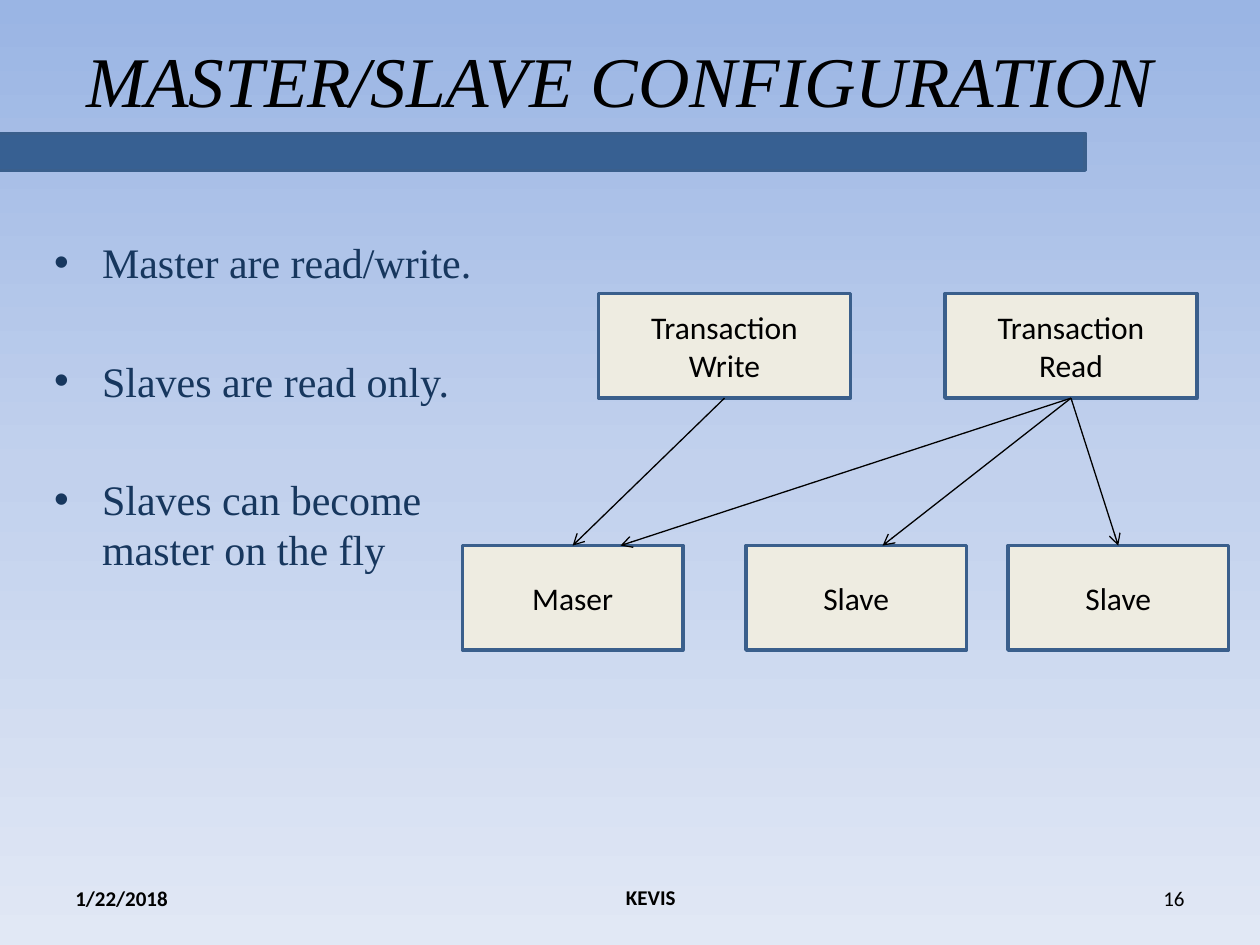
from dataclasses import dataclass

from pptx import Presentation
from pptx.dml.color import RGBColor
from pptx.enum.shapes import MSO_CONNECTOR, MSO_SHAPE
from pptx.enum.text import MSO_ANCHOR, MSO_AUTO_SIZE, PP_ALIGN
from pptx.oxml.ns import qn
from pptx.oxml.xmlchemy import OxmlElement
from pptx.util import Inches, Pt

LEFT, CENTER, RIGHT = PP_ALIGN.LEFT, PP_ALIGN.CENTER, PP_ALIGN.RIGHT
TOP, MIDDLE = MSO_ANCHOR.TOP, MSO_ANCHOR.MIDDLE
RECTANGLE, MINUS = MSO_SHAPE.RECTANGLE, MSO_SHAPE.MATH_MINUS
STRAIGHT = MSO_CONNECTOR.STRAIGHT
TOP_SITE, BOTTOM_SITE = 0, 2


@dataclass(frozen=True)
class Theme:
    """Colours, fonts and type sizes of the slide."""
    background: tuple = ("9AB5E4", "C2D1ED", "E1E8F5")
    ink: str = "000000"
    bullet_ink: str = "17375E"
    bar: str = "376092"
    outline: str = "3A5F8C"
    node: str = "EEECE1"
    heading_font: str = "Times New Roman"
    label_font: str = "Calibri"
    title_size: float = 40.7
    bullet_size: float = 24
    node_size: float = 18
    footer_size: float = 12


@dataclass(frozen=True)
class Node:
    """A labelled box of the replication diagram."""
    label: str
    left: float
    top: float
    width: float


@dataclass(frozen=True)
class Footer:
    """One text at the foot of the slide."""
    text: str
    left: float
    top: float
    width: float
    align: PP_ALIGN
    bold: bool


@dataclass(frozen=True)
class Flow:
    """An arrow that ends at the target's top centre, moved right by shift."""
    source: str
    target: str
    shift: float = 0


THEME = Theme()
NODE_HEIGHT, FOOTER_HEIGHT = 0.83, 0.4
CLIENT_TOP, CLIENT_WIDTH = 2.33, 2
SERVER_TOP, SERVER_WIDTH = 4.33, 1.75

NODES = {
    "read": Node("Transaction\nRead", 7.5, CLIENT_TOP, CLIENT_WIDTH),
    "write": Node("Transaction\nWrite", 4.75, CLIENT_TOP, CLIENT_WIDTH),
    "master": Node("Maser", 3.67, SERVER_TOP, SERVER_WIDTH),
    "first slave": Node("Slave", 5.92, SERVER_TOP, SERVER_WIDTH),
    "second slave": Node("Slave", 8, SERVER_TOP, SERVER_WIDTH),
}
FLOWS = (
    Flow("write", "master"),
    Flow("read", "first slave", 0.21),
    Flow("read", "second slave"),
    Flow("read", "master", 0.38),
)
FOOTERS = (
    Footer("1/22/2018", 0.5, 6.93, 2.33, LEFT, True),
    Footer("16", 7.17, 6.93, 2.33, RIGHT, False),
    Footer("KEVIS", 3.58, 6.92, 3.17, CENTER, True),
)
BULLETS = (
    "Master are read/write.",
    "Slaves are read only.",
    "Slaves can become master on the fly",
)


def rgb(value: str) -> RGBColor:
    """Turn a hex string into a colour."""
    return RGBColor.from_string(value)


def write_text(shape, text: str, *, size: float, font: str = THEME.label_font,
               color: str = THEME.ink, align: PP_ALIGN = CENTER,
               anchor: MSO_ANCHOR = MIDDLE, bold: bool = False,
               italic: bool = False) -> None:
    """Fill a shape with text, one paragraph a line, in one format."""
    frame = shape.text_frame
    frame.text = text
    frame.word_wrap = True
    frame.auto_size = MSO_AUTO_SIZE.NONE
    frame.vertical_anchor = anchor
    for paragraph in frame.paragraphs:
        paragraph.alignment = align
        for run in paragraph.runs:
            run.font.size = Pt(size)
            run.font.name = font
            run.font.bold = bold
            run.font.italic = italic
            run.font.color.rgb = rgb(color)


def place(shape, left: float, top: float, width: float, height: float) -> None:
    """Move and size a placeholder."""
    shape.left, shape.top = Inches(left), Inches(top)
    shape.width, shape.height = Inches(width), Inches(height)


def paint_background(slide) -> None:
    """Fill the background with an even gradient from top to bottom."""
    fill = slide.background.fill
    fill.gradient()
    fill.gradient_angle = 270
    stop_list = next(slide.element.iter(qn("a:gsLst")))
    extra_stop = OxmlElement("a:gs")
    extra_stop.set("pos", "0")
    extra_stop.append(OxmlElement("a:srgbClr"))
    extra_stop[0].set("val", THEME.ink)
    stop_list.append(extra_stop)
    for index, (stop, color) in enumerate(zip(fill.gradient_stops, THEME.background)):
        stop.position = index / (len(THEME.background) - 1)
        stop.color.rgb = rgb(color)


def add_block(slide, preset, left: float, top: float, width: float,
              height: float, fill: str):
    """Add a filled, outlined shape without a shadow."""
    block = slide.shapes.add_shape(
        preset, Inches(left), Inches(top), Inches(width), Inches(height))
    block.shadow.inherit = False
    block.fill.solid()
    block.fill.fore_color.rgb = rgb(fill)
    block.line.color.rgb = rgb(THEME.outline)
    block.line.width = Pt(2)
    return block


def add_bullets(body) -> None:
    """Write the bullet list with hanging indents."""
    write_text(body, "\n".join(BULLETS), size=THEME.bullet_size, align=LEFT,
               font=THEME.heading_font, color=THEME.bullet_ink, anchor=TOP)
    for paragraph in body.text_frame.paragraphs:
        paragraph.space_before = Pt(4.8)
        paragraph.space_after = Pt(34)
        properties = paragraph._p.get_or_add_pPr()
        properties.set("marL", str(Inches(0.38)))
        properties.set("indent", str(-Inches(0.38)))
        bullet = OxmlElement("a:buChar")
        bullet.set("char", "•")
        properties.append(bullet)


def add_flow(slide, flow: Flow, boxes: dict) -> None:
    """Draw an arrow from a box's bottom to the top of another."""
    source, target = boxes[flow.source], boxes[flow.target]
    arrow = slide.shapes.add_connector(
        STRAIGHT, source.left + source.width // 2, source.top + source.height,
        target.left + target.width // 2 + Inches(flow.shift), target.top)
    arrow.begin_connect(source, BOTTOM_SITE)
    if not flow.shift:
        arrow.end_connect(target, TOP_SITE)
    arrow.line.color.rgb = rgb(THEME.ink)
    arrow.line.width = Pt(0.75)
    head = OxmlElement("a:tailEnd")
    head.set("type", "arrow")
    arrow.line._get_or_add_ln().append(head)
    arrow._element.spPr.append(OxmlElement("a:effectLst"))


def build() -> None:
    """Build and save the slide."""
    deck = Presentation()
    deck.slide_width, deck.slide_height = Inches(10), Inches(7.5)
    slide = deck.slides.add_slide(deck.slide_layouts[1])
    paint_background(slide)

    title, body = slide.shapes.title, slide.placeholders[1]
    place(title, 0.42, 0, 9, 1.25)
    write_text(title, "MASTER/SLAVE CONFIGURATION", size=THEME.title_size,
               font=THEME.heading_font, italic=True)
    place(body, 0.33, 1.83, 3.92, 4.92)
    add_bullets(body)
    add_block(slide, MINUS, -1.58, 0.58, 11.75, 1.25, THEME.bar)

    for footer in FOOTERS:
        box = slide.shapes.add_textbox(Inches(footer.left), Inches(footer.top),
                                       Inches(footer.width), Inches(FOOTER_HEIGHT))
        write_text(box, footer.text, size=THEME.footer_size,
                   align=footer.align, bold=footer.bold)

    boxes = {}
    for key, node in NODES.items():
        boxes[key] = add_block(slide, RECTANGLE, node.left, node.top,
                               node.width, NODE_HEIGHT, THEME.node)
        write_text(boxes[key], node.label, size=THEME.node_size)
    for flow in FLOWS:
        add_flow(slide, flow, boxes)
    deck.save("out.pptx")


build()
